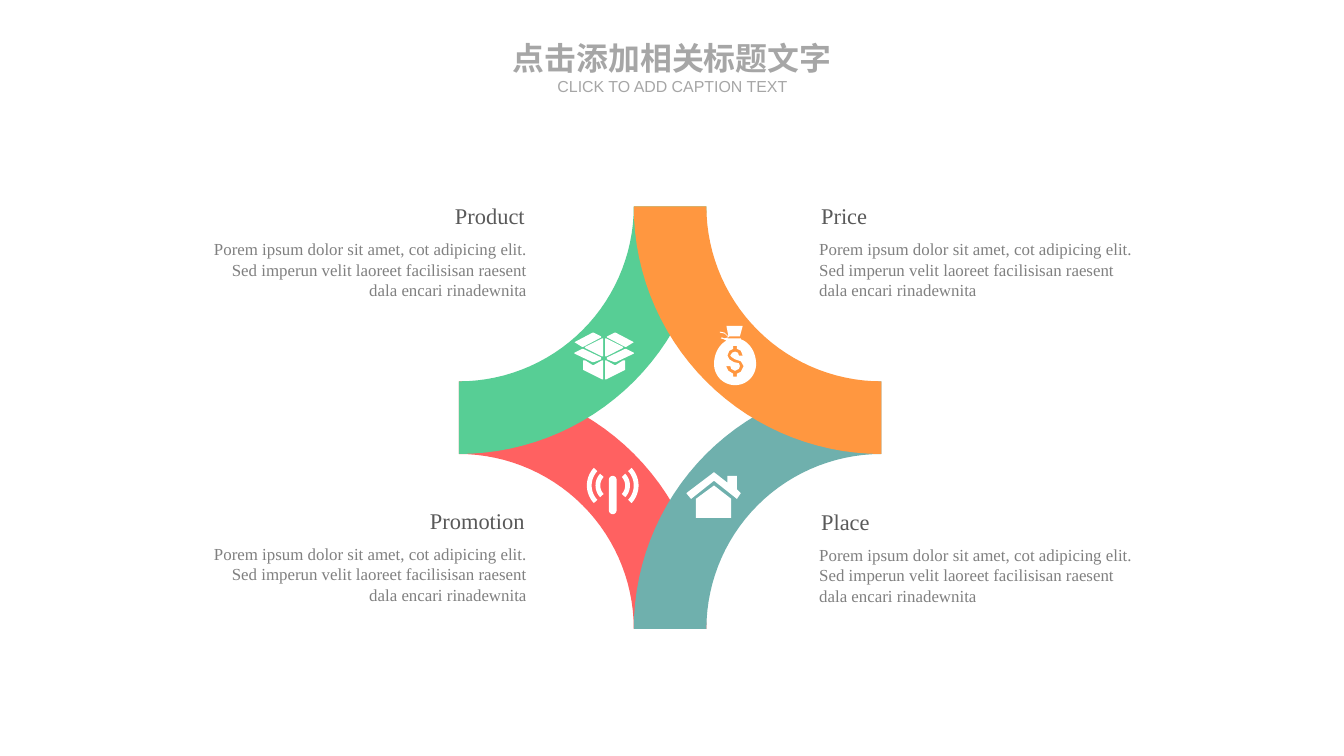
"""Build a marketing-mix slide with four interlocking arcs, icons and captions."""
from math import cos, radians, sin

from pptx import Presentation
from pptx.dml.color import RGBColor
from pptx.enum.text import MSO_ANCHOR as Anchor, MSO_AUTO_SIZE as AutoSize, PP_ALIGN as Align
from pptx.util import Inches, Pt


def color(hex_code):
    """Turn a hex string into a colour."""
    return RGBColor.from_string(hex_code)


def arc(center, rx, ry, start, end, steps=30):
    """Return points along an elliptical arc, with angles in degrees."""
    angles = [radians(start + (end - start) * i / steps) for i in range(steps + 1)]
    return [(center[0] + rx * cos(a), center[1] + ry * sin(a)) for a in angles]


def band(center, outer, inner, start, end):
    """Return the outline of a ring segment."""
    return arc(center, outer, outer, start, end) + arc(center, inner, inner, end, start)


def mirror(outline, axis):
    """Reflect an outline across a vertical axis."""
    return [(2 * axis - x, y) for x, y in outline]


class SlideWriter:
    """Hold the style and the current slide."""

    white, heading_gray, body_gray, title_gray = "FFFFFF", "595959", "808080", "A6A6A6"
    serif, sans = "Times New Roman", "Arial"

    def __init__(self, slide):
        """Remember the slide to draw on."""
        self.slide = slide

    def outline(self, contours, fill):
        """Draw closed contours as one filled shape."""
        contours = [[(Inches(x), Inches(y)) for x, y in contour] for contour in contours]
        builder = self.slide.shapes.build_freeform(*contours[0][0])
        for index, contour in enumerate(contours):
            if index:
                builder.move_to(*contour[0])
            builder.add_line_segments(contour[1:], close=True)
        shape = builder.convert_to_shape()
        shape.shadow.inherit = False
        shape.fill.solid()
        shape.fill.fore_color.rgb = color(fill)
        shape.line.fill.background()

    def text(self, content, box, size, font, ink, align, bold=False, heading=False, after=0):
        """Add a wrapped text box with one run."""
        frame = self.slide.shapes.add_textbox(*map(Inches, box)).text_frame
        frame.word_wrap = True
        side, edge = (0.11, 0.05) if heading else (0, 0)
        frame.margin_left = frame.margin_right = Inches(side)
        frame.margin_top = frame.margin_bottom = Inches(edge)
        frame.vertical_anchor = Anchor.MIDDLE if heading else Anchor.TOP
        frame.auto_size = AutoSize.NONE if heading else AutoSize.SHAPE_TO_FIT_TEXT
        paragraph = frame.paragraphs[0]
        paragraph.alignment = align
        paragraph.space_after = Pt(after)
        run = paragraph.add_run()
        run.text = content
        run.font.name, run.font.size, run.font.bold = font, Pt(size), bold
        run.font.color.rgb = color(ink)

    def caption(self, heading, body, heading_left, body_left, top, align):
        """Add a heading with its description."""
        self.text(heading, (heading_left, top, 2.32, 0.3), 16.9, self.serif,
                  self.heading_gray, align, heading=True)
        self.text(body, (body_left, top + 0.39, 3.32, 0.64), 12.7, self.serif,
                  self.body_gray, align)


def draw_box(writer):
    """Draw the open box icon."""
    left_half = [
        [(6.12, 3.63), (6.3, 3.54), (6.31, 3.54), (6.31, 3.73), (6.3, 3.73), (6.12, 3.64)],
        [(6.29, 3.74), (6.1, 3.65), (6.09, 3.65), (6.01, 3.69), (6.01, 3.7), (6.2, 3.79),
         (6.21, 3.79), (6.29, 3.76)],
        [(6.29, 3.52), (6.21, 3.48), (6.2, 3.48), (6.01, 3.58), (6.09, 3.63), (6.1, 3.63),
         (6.29, 3.53)],
        [(6.1, 3.77), (6.12, 3.77), (6.2, 3.82), (6.21, 3.82), (6.3, 3.77), (6.31, 3.77),
         (6.31, 3.97), (6.3, 3.97), (6.1, 3.87)],
    ]
    right_half = [mirror(part, 6.32) for part in left_half]
    writer.outline(left_half + right_half, writer.white)


def draw_money_bag(writer):
    """Draw the money bag icon with a cut-out dollar sign."""
    middle = (7.69, 3.81)
    neck = [(7.75, 3.54), (7.61, 3.54), (7.63, 3.52), (7.74, 3.52), (7.77, 3.41), (7.6, 3.41),
            (7.62, 3.52), (7.58, 3.48), (7.53, 3.47), (7.53, 3.48), (7.58, 3.49), (7.62, 3.53),
            (7.58, 3.54), (7.55, 3.53), (7.54, 3.54), (7.57, 3.55)]
    sack = (arc(middle, 0.22, 0.27, -114, -180) + arc(middle, 0.22, 0.22, 180, 0)
            + arc(middle, 0.22, 0.27, 0, -74))
    dollar = [(7.75, 3.89), (7.71, 3.91), (7.71, 3.94), (7.67, 3.94), (7.67, 3.91), (7.62, 3.88),
              (7.6, 3.84), (7.6, 3.83), (7.64, 3.83), (7.65, 3.86), (7.69, 3.88), (7.73, 3.86),
              (7.74, 3.83), (7.73, 3.8), (7.68, 3.79), (7.63, 3.76), (7.61, 3.72), (7.63, 3.67),
              (7.67, 3.65), (7.67, 3.62), (7.71, 3.62), (7.71, 3.65), (7.75, 3.67), (7.77, 3.72),
              (7.73, 3.72), (7.72, 3.69), (7.69, 3.68), (7.66, 3.69), (7.64, 3.72), (7.66, 3.74),
              (7.69, 3.76), (7.75, 3.78), (7.78, 3.83)]
    writer.outline([neck + sack, dollar], writer.white)


def draw_antenna(writer):
    """Draw the mast with two waves on each side."""
    axis = 6.41
    mast = arc((axis, 5.02), 0.04, 0.04, 180, 360) + arc((axis, 5.34), 0.04, 0.04, 0, 180)
    waves = [band((axis, 5.08), outer, outer - 0.05, facing - 43, facing + 43)
             for outer in (0.27, 0.18) for facing in (0, 180)]
    writer.outline([mast] + waves, writer.white)


def draw_house(writer):
    """Draw the house icon."""
    walls = [(7.28, 5.22), (7.28, 5.42), (7.65, 5.42), (7.65, 5.22), (7.47, 5.08)]
    roof = [(7.71, 5.12), (7.71, 4.98), (7.61, 4.98), (7.61, 5.05), (7.47, 4.94), (7.18, 5.16),
            (7.23, 5.22), (7.47, 5.03), (7.71, 5.22), (7.75, 5.16)]
    for part in (walls, roof):
        writer.outline([part], writer.white)


def main():
    """Compose and save the slide."""
    deck = Presentation()
    deck.slide_width, deck.slide_height = Inches(14.06), Inches(7.91)
    writer = SlideWriter(deck.slides.add_slide(deck.slide_layouts[6]))

    body = ("Porem ipsum dolor sit amet, cot adipicing elit. "
            "Sed imperun velit laoreet facilisisan raesent dala encari rinadewnita")
    right_side, left_side = (8.48, 8.57), (3.28, 2.19)
    for heading, lefts, top, align in (
        ("Price", right_side, 2.11, Align.LEFT),
        ("Place", right_side, 5.31, Align.LEFT),
        ("Product", left_side, 2.11, Align.RIGHT),
        ("Promotion", left_side, 5.3, Align.RIGHT),
    ):
        writer.caption(heading, body, *lefts, top, align)

    left, right, top, bottom = 4.8, 9.22, 2.16, 6.58
    for corner, start, fill in (
        ((left, bottom), 270, "FF6161"),
        ((left, top), 0, "57CE95"),
        ((right, bottom), 180, "6FB0AD"),
        ((right, top), 90, "FF9740"),
    ):
        writer.outline([band(corner, 2.59, 1.83, start, start + 90)], fill)

    for draw_icon in (draw_box, draw_money_bag, draw_antenna, draw_house):
        draw_icon(writer)

    writer.text("点击添加相关标题文字", (5.27, 0.4, 3.52, 0.4), 24, writer.sans,
                writer.title_gray, Align.CENTER, bold=True, after=6)
    writer.text("CLICK TO ADD CAPTION TEXT", (5.59, 0.8, 2.89, 0.2), 12, writer.sans,
                writer.title_gray, Align.CENTER)
    deck.save("out.pptx")


if __name__ == "__main__":
    main()
